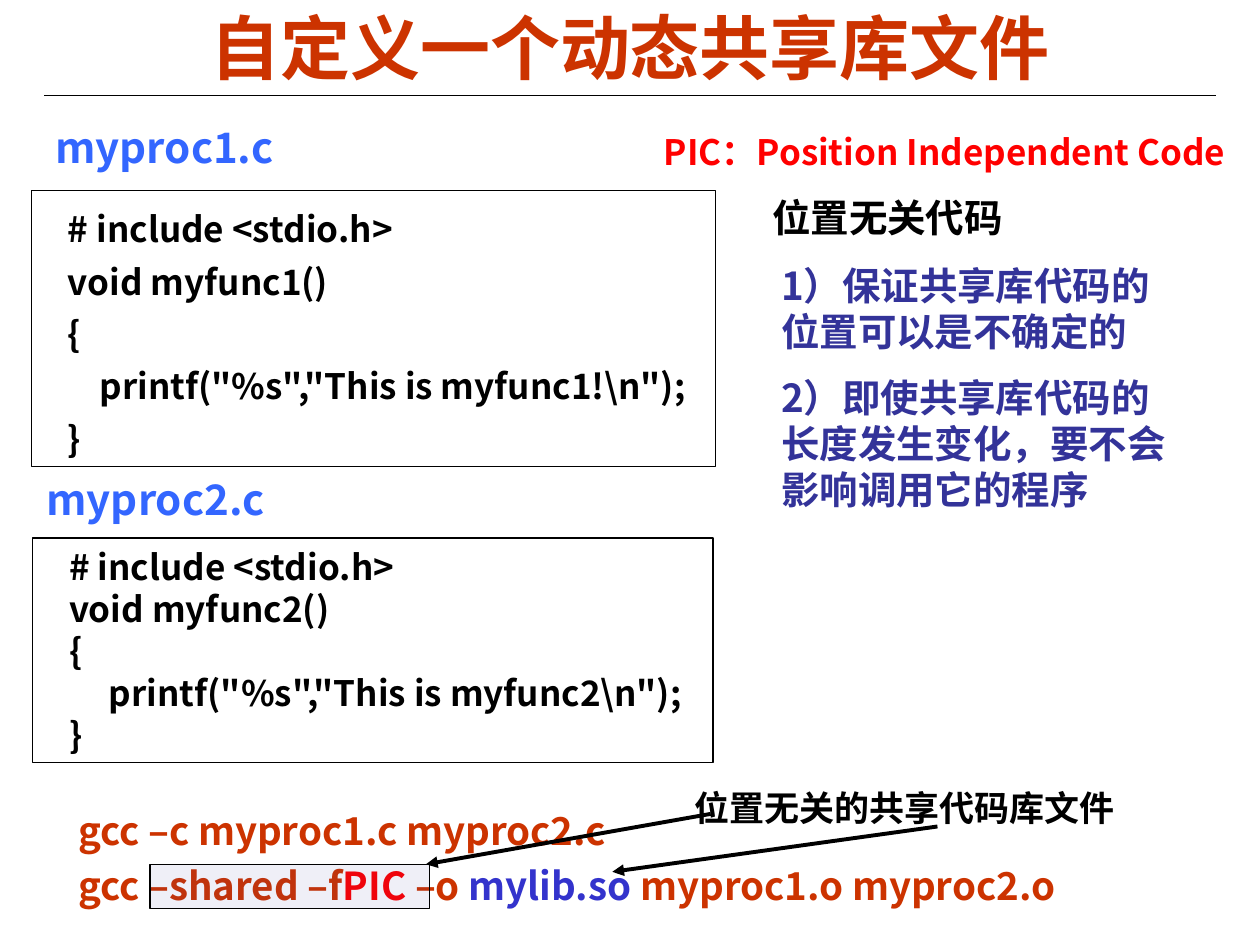
from lxml.etree import SubElement as Sub
from pptx import Presentation
from pptx.dml.color import RGBColor as RGB
from pptx.enum.shapes import MSO_CONNECTOR as LINE, MSO_SHAPE as SHAPE
from pptx.enum.text import MSO_ANCHOR as ANCHOR, MSO_AUTO_SIZE as AUTO, PP_ALIGN as ALIGN
from pptx.oxml.ns import qn
from pptx.util import Pt

INK = {"black": "000000", "white": "FFFFFF", "rust": "CC3300", "red": "FF0000",
       "sky": "3366FF", "blue": "3333CC", "navy": "333399"}
NOTO, ARIAL = "Noto Sans CJK SC", "Arial"


def tint(color, name):
    """Set a colour format to a named ink."""
    color.rgb = RGB.from_string(INK[name])


def move(shape, box):
    """Place a shape at box: left, top, width, height."""
    shape.left, shape.top, shape.width, shape.height = map(Pt, box)


def write(shape, lines, size, ink, face=NOTO, anchor=ANCHOR.TOP, wrap=True,
          lead=None, gap=0, dents=None, align=ALIGN.LEFT):
    """Fill a shape with bold paragraphs; a line is a list of (text, ink) runs."""
    frame = shape.text_frame
    frame.auto_size, frame.word_wrap = AUTO.NONE, wrap
    frame.vertical_anchor = anchor
    for i, line in enumerate(lines):
        para = frame.paragraphs[0] if i == 0 else frame.add_paragraph()
        para.alignment = align
        para.space_before = Pt(gap if i else 0)
        if lead:
            para.line_spacing = lead
        props = para._p.get_or_add_pPr()
        props.set("marL", "0")
        props.set("indent", str(Pt(dents[i] if dents else 0)))
        Sub(props, qn("a:buNone"))
        font = para.font
        font.size, font.bold, font.name = Pt(size), True, face
        tint(font.color, ink)
        Sub(props.find(qn("a:defRPr")), qn("a:ea"), typeface=NOTO)
        for text, hue in line:
            run = para.add_run()
            run.text = text
            if hue:
                tint(run.font.color, hue)


def plain(*texts):
    """Turn strings into lines of one run each."""
    return [[(text, None)] for text in texts]


def label(slide, box, lines, size, ink, **style):
    """Add a text box."""
    shape = slide.shapes.add_textbox(*map(Pt, box))
    write(shape, lines, size, ink, **style)


def frame(slide, box, ink="black", width=0.75):
    """Add an outlined, unfilled rectangle."""
    shape = slide.shapes.add_shape(SHAPE.RECTANGLE, *map(Pt, box))
    shape.shadow.inherit = False
    shape.fill.background()
    tint(shape.line.color, ink)
    shape.line.width = Pt(width)
    return shape


def rule(slide, start, end, width, arrow=False):
    """Add a black line, with an arrowhead at its end if asked."""
    line = slide.shapes.add_connector(LINE.STRAIGHT, *map(Pt, start + end))
    tint(line.line.color, "black")
    line.line.width = Pt(width)
    if arrow:
        Sub(line.line._get_or_add_ln(), qn("a:tailEnd"), type="triangle")
    Sub(line._element.spPr, qn("a:effectLst"))


def head(slide, box):
    """Place the title and the rule below it."""
    x, y, w, h = box
    title = slide.shapes.title
    move(title, box)
    write(title, plain("自定义一个动态共享库文件"), 40, "rust", ARIAL,
          ANCHOR.MIDDLE, align=ALIGN.CENTER)
    rule(slide, (x - 10.8, y + 50.4), (x + w + 10.8, y + 50.4), 0.75)


def source(slide, box, name, call, shift, drop, lead, dent):
    """Place a file name and, drop points lower, its framed code."""
    x, y, w, h = box
    code = frame(slide, (x, y + drop, w, h - drop))
    lines = plain("# include <stdio.h>", f"void {name}()", "{",
                  f'printf("%s","This is {call}\\n");', "}")
    write(code, lines, 20, "black", anchor=ANCHOR.MIDDLE, lead=lead,
          dents=[13.7, 13.7, 13.7, dent, 13.7])
    tag = frame(slide, (x + shift, y, 140.4, 36), "white", 0.25)
    write(tag, plain(name.replace("func", "proc") + ".c"), 24, "sky", wrap=False)


def notes(slide, box):
    """Place the meaning of PIC and its two points."""
    x, y, w, h = box
    label(slide, (x, y, w, 31), plain("PIC：Position Independent Code"), 20, "red")
    label(slide, (x + 62, y + 36, 239, 33.8), plain("位置无关代码"), 22, "black",
          face=ARIAL)
    body = slide.placeholders[1]
    move(body, (x + 67, y + 75, 244.8, h - 75))
    write(body, plain("1）保证共享库代码的位置可以是不确定的",
                      "2）即使共享库代码的长度发生变化，要不会影响调用它的程序"),
          22, "navy", gap=11)


def build(slide, box):
    """Place the compiler commands, the marked options and the arrows."""
    x, y, w, h = box
    last = [("gcc –shared –f", None), ("PIC", "red"), (" –o ", None),
            ("mylib.so", "blue"), (" myproc1.o myproc2.o", None)]
    label(slide, (x, y, w, h), plain("gcc –c myproc1.c myproc2.c") + [last],
          22, "rust", anchor=ANCHOR.MIDDLE, wrap=False, lead=1.2, dents=[20.9] * 2)
    label(slide, (x + 373, y - 6.5, 288.7, 31), plain("位置无关的共享代码库文件"),
          20, "black", face=ARIAL)
    mark = frame(slide, (x + 69.1, y + 41.7, 159.8, 25.2))
    mark.fill.solid()
    tint(mark.fill.fore_color, "navy")
    hue = mark._element.spPr.find(qn("a:solidFill"))[0]
    Sub(hue, qn("a:alpha"), val="8000")
    rule(slide, (x + 389.5, y + 12.9), (x + 226.8, y + 41.7), 2.25, True)
    rule(slide, (x + 519.1, y + 20.1), (x + 333.3, y + 46), 2.25, True)


deck = Presentation()
deck.slide_width, deck.slide_height = Pt(720), Pt(540)
page = deck.slides.add_slide(deck.slide_layouts[1])
head(page, (36, 4.3, 648, 44))
source(page, (18, 66.2, 391, 200.2), "myfunc1", "myfunc1!", 6.5, 42.5, 1.25, 32)
source(page, (18.7, 267.1, 388.8, 168.5), "myfunc2", "myfunc2", 0.7, 40.3, None, 36.5)
notes(page, (372.2, 71.3, 342.7, 227.5))
build(page, (16.6, 452.2, 612.7, 70.6))
deck.save("out.pptx")
